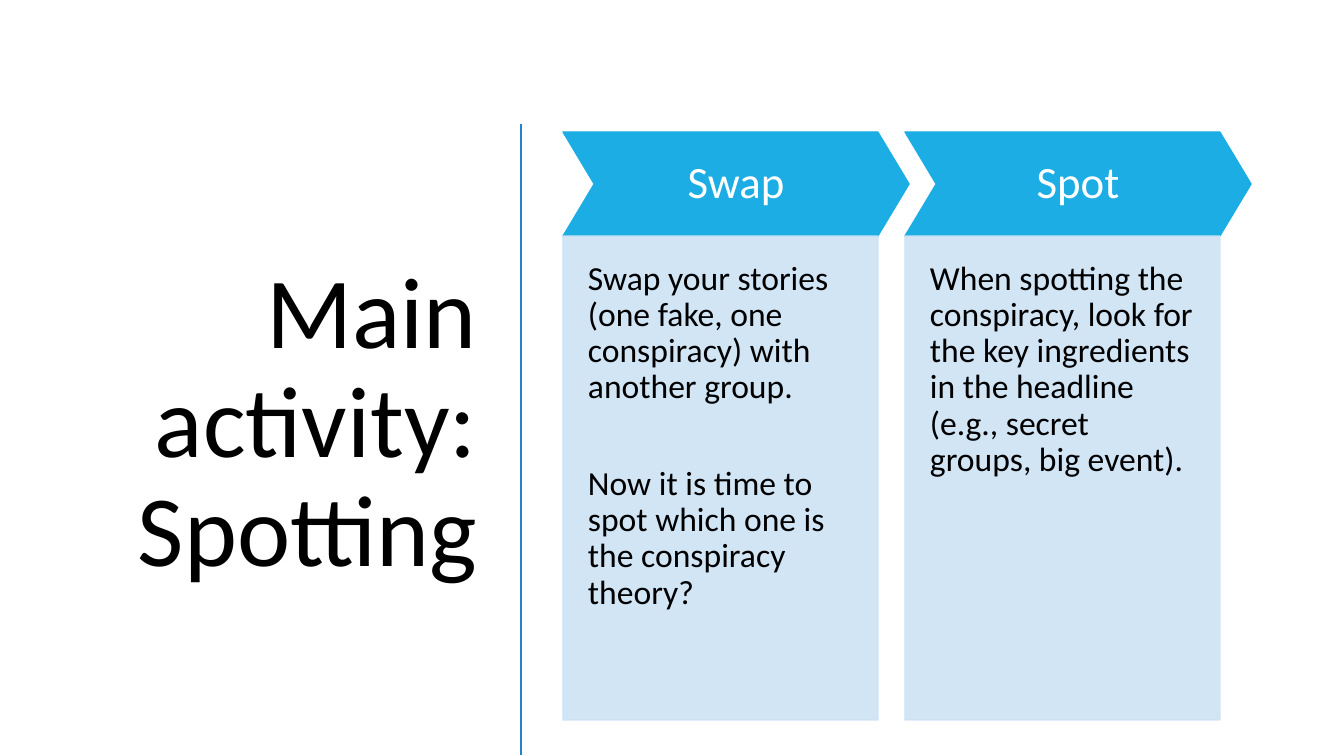
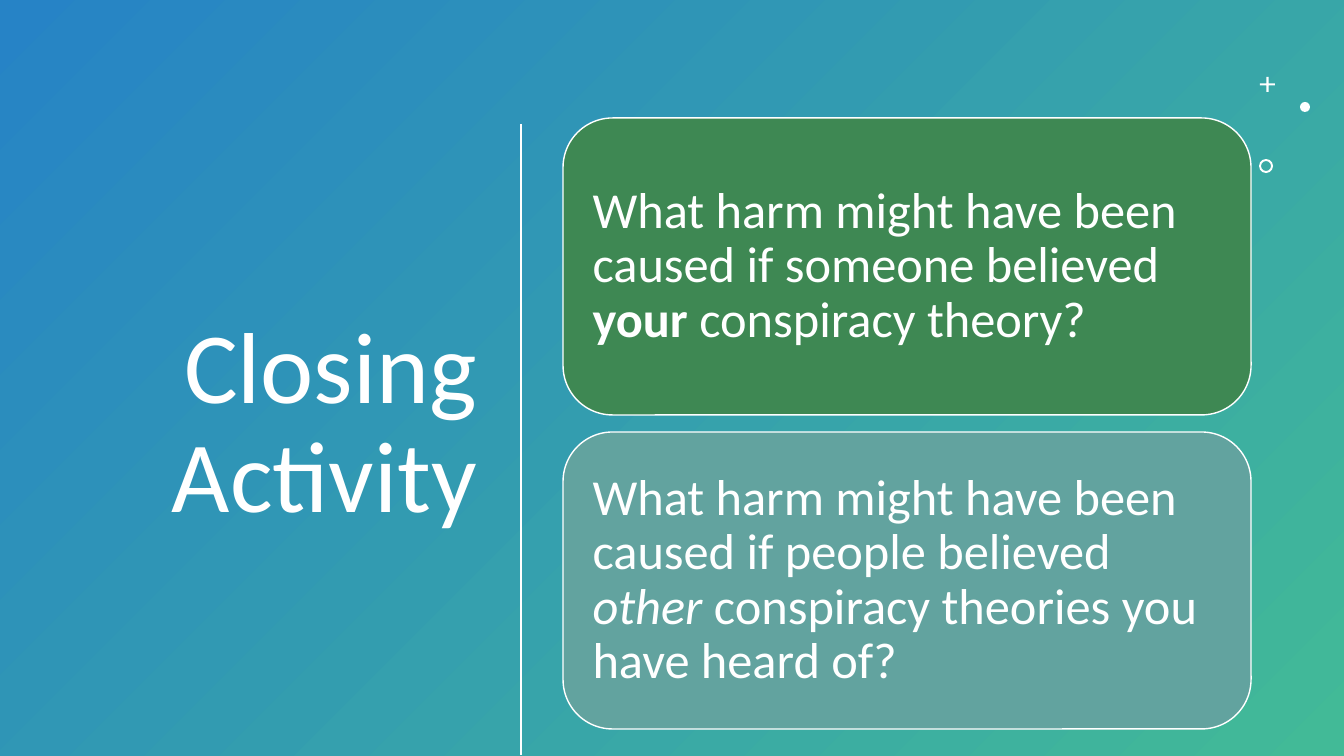
from lxml import etree
from pptx import Presentation
from pptx import util as u
from pptx.dml.color import RGBColor
from pptx.enum import shapes, text
from pptx.oxml.ns import qn

PX = 914400 / 100.8
FONT = "Calibri"
WHITE = RGBColor(0xFF, 0xFF, 0xFF)
BLACK = RGBColor(0x00, 0x00, 0x00)
BLUE = RGBColor(0x26, 0x83, 0xC6)
TEAL = RGBColor(0x42, 0xBA, 0x97)
SKY = RGBColor(0x1C, 0xAD, 0xE4)
PALE = RGBColor(0xCD, 0xE3, 0xF5)
GREEN = RGBColor(0x3E, 0x88, 0x53)
SAGE = RGBColor(0x62, 0xA3, 0x9F)
SHAPE = shapes.MSO_SHAPE
ALIGN = text.PP_ALIGN
ANCHOR = text.MSO_ANCHOR

deck = Presentation()
deck.slide_width, deck.slide_height = u.Inches(13.333), u.Inches(7.5)


def add_shape(page, kind, bounds, fill, line=None, adjust=None):
    """Add a shadowless preset shape; bounds are in pixels."""
    shape = page.shapes.add_shape(kind, *[round(n * PX) for n in bounds])
    shape.shadow.inherit = False
    shape.fill.solid()
    shape.fill.fore_color.rgb = fill
    if line is None:
        shape.line.fill.background()
    else:
        shape.line.color.rgb = line
        shape.line.width = u.Pt(1)
    if adjust is not None:
        shape.adjustments[0] = adjust
    return shape


def write(shape, paras, size, color, align, anchor, insets, gap=0):
    """Fill a shape with paragraphs of (text, style) runs, set gap points apart."""
    frame = shape.text_frame
    frame.word_wrap = True
    frame.vertical_anchor = anchor
    (frame.margin_left, frame.margin_top,
     frame.margin_right, frame.margin_bottom) = [round(n * PX) for n in insets]
    for index, runs in enumerate(paras):
        para = frame.add_paragraph() if index else frame.paragraphs[0]
        para.alignment = align
        para.line_spacing = 0.9
        para.space_before = u.Pt(gap if index else 0)
        para.font.name, para.font.size = FONT, u.Pt(size)
        para.font.color.rgb = color
        for words, style in runs:
            span = para.add_run()
            span.text = words
            if style == "bold":
                span.font.bold = True
            elif style == "italic":
                span.font.italic = True


# Both pages: right-aligned title beside a vertical rule
pages = []
for title, ink, rule_color in [("Main activity: Spotting", BLACK, BLUE),
                               ("Closing Activity", WHITE, WHITE)]:
    page = deck.slides.add_slide(deck.slide_layouts[6])
    pages.append(page)
    if ink == WHITE:
        backdrop = add_shape(page, SHAPE.RECTANGLE, (0, 0, 1344, 756), BLUE)
        backdrop.fill.gradient()
        backdrop.fill.gradient_angle = 315
        for stop, color in zip(backdrop.fill.gradient_stops, (BLUE, TEAL)):
            stop.color.rgb = color
    box = page.shapes.add_textbox(*[round(n * PX) for n in (52, 117, 435, 616)])
    write(box, [[(title, None)]], 72, ink, ALIGN.RIGHT, ANCHOR.MIDDLE, (10, 5, 10, 5))
    rule = page.shapes.add_connector(
        shapes.MSO_CONNECTOR.STRAIGHT, *[round(n * PX) for n in (521, 124, 521, 755)])
    rule.line.color.rgb = rule_color
    rule.line.width = u.Pt(2)
    etree.SubElement(rule.element.spPr, qn("a:effectLst"))

activity, closing = pages

# Main activity: two chevron-headed steps
steps = [
    ("Swap", ["Swap your stories (one fake, one conspiracy) with another group.",
              "Now it is time to spot which one is the conspiracy theory?"]),
    ("Spot", ["When spotting the conspiracy, look for the key ingredients in the headline "
              "(e.g., secret groups, big event)."]),
]
for index, (heading, lines) in enumerate(steps):
    left = 563 + 342 * index
    chevron = add_shape(activity, SHAPE.CHEVRON, (left, 132, 346, 104), SKY, SKY, 0.3)
    write(chevron, [[(heading, None)]], 32, WHITE, ALIGN.CENTER, ANCHOR.MIDDLE,
          (13, 13, 13, 13))
    panel = add_shape(activity, SHAPE.RECTANGLE, (left, 236, 315, 484), PALE, PALE)
    for tint in panel.element.spPr.iter(qn("a:srgbClr")):
        etree.SubElement(tint, qn("a:alpha"), val="90000")
    write(panel, [[(words, None)] for words in lines], 24, BLACK, ALIGN.LEFT, ANCHOR.TOP,
          (25, 25, 25, 49), gap=43)

# Closing activity: corner ornaments and two question cards
for kind, bounds, adjust in [(SHAPE.CROSS, (1260, 77, 15, 15), 0.43),
                             (SHAPE.OVAL, (1300, 102, 10, 10), None),
                             (SHAPE.DONUT, (1259, 159, 14, 14), 0.14)]:
    add_shape(closing, kind, bounds, WHITE, adjust=adjust)

questions = [
    (GREEN, [("What harm might have been caused if someone believed ", None),
             ("your", "bold"), (" conspiracy theory?", None)]),
    (SAGE, [("What harm might have been caused if people believed ", None),
            ("other", "italic"), (" conspiracy theories you have heard of?", None)]),
]
for index, (fill, runs) in enumerate(questions):
    card = add_shape(closing, SHAPE.ROUNDED_RECTANGLE, (563, 118 + 314 * index, 688, 297),
                     fill, WHITE)
    write(card, [runs], 36, WHITE, ALIGN.LEFT, ANCHOR.MIDDLE, (15, 15, 15, 15))

deck.save("out.pptx")
